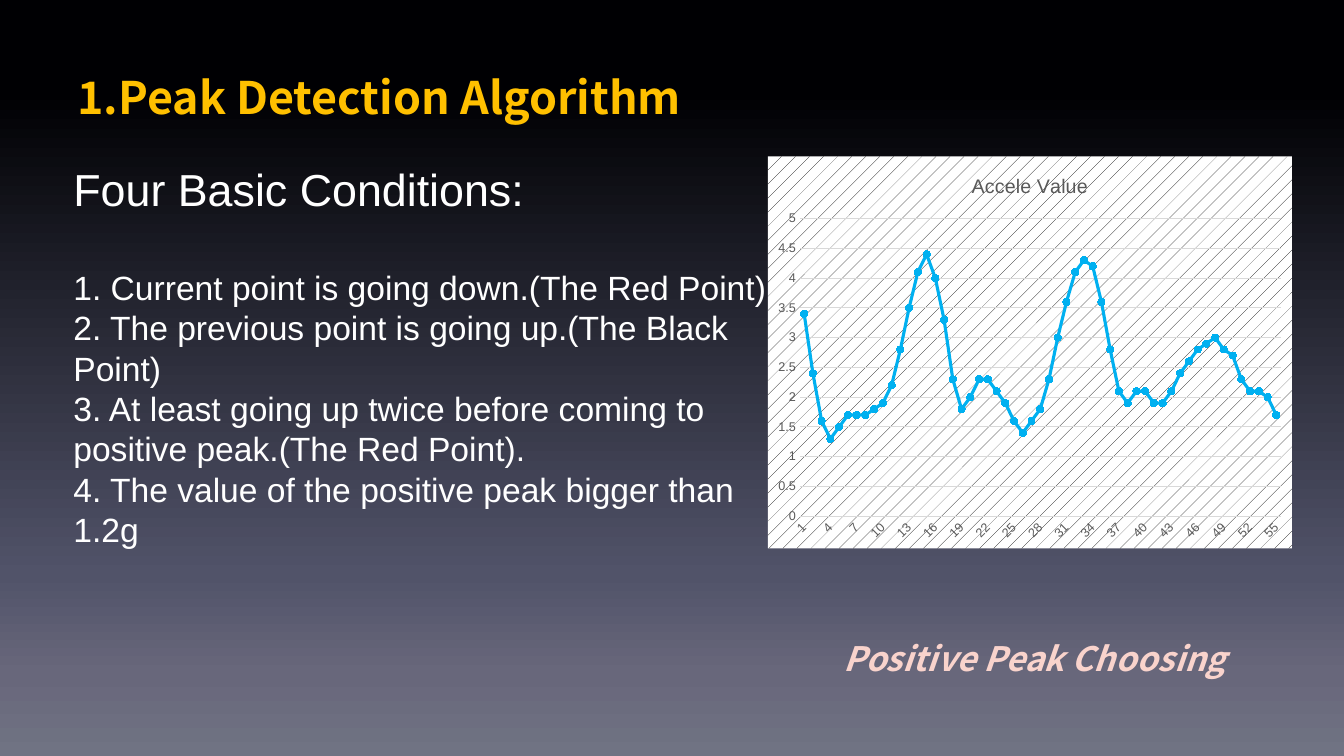
"""Build the peak detection slide: conditions on the left, line chart on the right."""
from dataclasses import dataclass

from lxml.etree import SubElement
from pptx import Presentation
from pptx.chart.data import CategoryChartData
from pptx.dml.color import RGBColor
from pptx.enum.chart import XL_CHART_TYPE, XL_MARKER_STYLE, XL_TICK_MARK
from pptx.enum.text import MSO_ANCHOR, MSO_AUTO_SIZE, PP_ALIGN
from pptx.oxml import parse_xml
from pptx.oxml.ns import nsdecls, qn
from pptx.util import Cm, Pt


@dataclass(frozen=True)
class Theme:
    """Colours, fonts and type sizes of the slide."""
    gold: str = "FFC000"
    pink: str = "F9D3CC"
    white: str = "FFFFFF"
    black: str = "000000"
    grey: str = "595959"
    grid: str = "D9D9D9"
    blue: str = "00B0F0"
    red: str = "F96A4F"
    purple: str = "8064D2"
    yellow: str = "FFFF00"
    backdrop: tuple = ((12, "000003"), (76, "515369"), (89, "68677B"), (100, "707383"))
    display: str = "Noto Sans CJK SC"
    body: str = "Arial"
    heading: int = 32
    text: int = 24
    chart_title: int = 14
    chart_text: int = 10
    axis: int = 9


@dataclass(frozen=True)
class Line:
    """One paragraph of text and its type size."""
    text: str
    size: int
    before: float = 0


@dataclass(frozen=True)
class Block:
    """A text box: place in centimetres, lines and styling."""
    box: tuple
    lines: tuple
    font: str
    color: str
    bold: bool = False
    italic: bool = False
    wrap: bool = True
    grow: bool = True
    spacing: float = 1.0
    align: PP_ALIGN = PP_ALIGN.LEFT
    anchor: MSO_ANCHOR = MSO_ANCHOR.TOP


@dataclass(frozen=True)
class Highlight:
    """Chart points, counted from one, that share a marker colour."""
    color: str
    points: tuple


T = Theme()
BLOCKS = (
    Block((20.55, 15.77, 11.05, 1.73), (Line("Positive Peak Choosing", T.text),),
          T.display, T.pink, bold=True, italic=True, grow=False, spacing=0.9,
          align=PP_ALIGN.CENTER, anchor=MSO_ANCHOR.MIDDLE),
    Block((1.7, 1.22, 16.38, 1.85), (Line("1.Peak Detection Algorithm", T.heading),),
          T.display, T.gold, bold=True, wrap=False, spacing=1.3),
    Block((1.6, 3.94, 17.98, 11.2), (
        Line("Four Basic Conditions:", T.heading),
        Line("1. Current point is going down.(The Red Point)", T.text, before=37),
        Line("2. The previous point is going up.(The Black Point)", T.text),
        Line("3. At least going up twice before coming to positive peak.(The Red Point).",
             T.text),
        Line("4. The value of the positive peak bigger than 1.2g", T.text),
    ), T.body, T.white),
)
ACCELE = (
    3.4, 2.4, 1.6, 1.3, 1.5, 1.7, 1.7, 1.7, 1.8, 1.9, 2.2,
    2.8, 3.5, 4.1, 4.4, 4, 3.3, 2.3, 1.8, 2, 2.3, 2.3,
    2.1, 1.9, 1.6, 1.4, 1.6, 1.8, 2.3, 3, 3.6, 4.1, 4.3,
    4.2, 3.6, 2.8, 2.1, 1.9, 2.1, 2.1, 1.9, 1.9, 2.1, 2.4,
    2.6, 2.8, 2.9, 3, 2.8, 2.7, 2.3, 2.1, 2.1, 2, 1.7,
)
HIGHLIGHTS = (
    Highlight(T.red, (14, 15, 32, 33, 47, 48)),
    Highlight(T.purple, (16, 34, 49)),
    Highlight(T.yellow, (19, 26, 38)),
)


def rgb(color: str) -> RGBColor:
    """Turn a hex string into a colour."""
    return RGBColor.from_string(color)


def style_font(font, name: str, size: int, color: str) -> None:
    """Set face, size and colour of a font."""
    font.name, font.size = name, Pt(size)
    font.color.rgb = rgb(color)


def style_line(line, color: str, width: float) -> None:
    """Set colour and width of a line."""
    line.color.rgb, line.width = rgb(color), Pt(width)


def paint_backdrop(s) -> None:
    """Fill the slide with the top-to-bottom gradient."""
    fill = s.background.fill
    fill.gradient()
    fill.gradient_angle = 270
    stops = next(s.element.iter(qn("a:gsLst")))
    for old in list(stops):
        stops.remove(old)
    for pos, color in T.backdrop:
        stop = SubElement(stops, qn("a:gs"), pos=str(pos * 1000))
        SubElement(stop, qn("a:srgbClr"), val=color)


def add_block(s, block: Block) -> None:
    """Add one text box."""
    tf = s.shapes.add_textbox(*map(Cm, block.box)).text_frame
    tf.word_wrap, tf.vertical_anchor = block.wrap, block.anchor
    tf.auto_size = MSO_AUTO_SIZE.SHAPE_TO_FIT_TEXT if block.grow else MSO_AUTO_SIZE.NONE
    tf.text = "\n".join(line.text for line in block.lines)
    for p, line in zip(tf.paragraphs, block.lines):
        p.alignment, p.line_spacing = block.align, block.spacing
        p.space_before = Pt(line.before)
        for r in p.runs:
            style_font(r.font, block.font, line.size, block.color)
            r.font.bold, r.font.italic = block.bold, block.italic


def style_marker(marker, color: str) -> None:
    """Make a round marker of one colour."""
    marker.style, marker.size = XL_MARKER_STYLE.CIRCLE, 5
    marker.format.fill.solid()
    marker.format.fill.fore_color.rgb = rgb(color)
    style_line(marker.format.line, color, 0.75)


def style_axes(chart) -> None:
    """Set scale, labels and grid of both axes."""
    cat, val = chart.category_axis, chart.value_axis
    for axis in (cat, val):
        axis.major_tick_mark = axis.minor_tick_mark = XL_TICK_MARK.NONE
        style_font(axis.tick_labels.font, T.body, T.axis, T.grey)
    style_line(cat.format.line, T.grid, 0.75)
    cat_xml = next(chart.element.iter(qn("c:catAx")))
    cat_xml.find(qn("c:txPr")).find(qn("a:bodyPr")).set("rot", "-2700000")
    val.minimum_scale, val.maximum_scale, val.major_unit = 0, 5, 0.5
    val.tick_labels.number_format = "General"
    val.tick_labels.number_format_is_linked = False
    val.format.line.fill.background()
    style_line(val.major_gridlines.format.line, T.grid, 0.75)


def add_accele_chart(s) -> None:
    """Add the acceleration chart with its marked points."""
    data = CategoryChartData()
    data.categories = [str(n) for n in range(1, len(ACCELE) + 1)]
    data.add_series("Series 1", ACCELE)
    box = map(Cm, (19.35, 3.94, 13.21, 9.88))
    chart = s.shapes.add_chart(XL_CHART_TYPE.LINE_MARKERS, *box, data).chart
    style_font(chart.font, T.body, T.chart_text, T.black)
    chart.has_legend = False
    chart.has_title = True
    tf = chart.chart_title.text_frame
    tf.text = "Accele Value"
    font = tf.paragraphs[0].runs[0].font
    style_font(font, T.body, T.chart_title, T.grey)
    font.bold = False
    style_axes(chart)
    plot = chart.plots[0]
    plot.vary_by_categories = False
    series = plot.series[0]
    series.smooth = False
    style_line(series.format.line, T.blue, 2.25)
    style_marker(series.marker, T.blue)
    for mark in HIGHLIGHTS:
        for n in mark.points:
            point = series.points[n - 1]
            style_marker(point.marker, mark.color)
            style_line(point.format.line, T.blue, 2.25)
    chart.element.find(qn("c:chart")).addnext(parse_xml(
        f'<c:spPr {nsdecls("c", "a")}><a:pattFill prst="pct5">'
        f'<a:fgClr><a:srgbClr val="{T.black}"/></a:fgClr>'
        f'<a:bgClr><a:srgbClr val="{T.white}"/></a:bgClr>'
        '</a:pattFill><a:ln><a:noFill/></a:ln></c:spPr>'))


def main() -> None:
    """Build and save the presentation."""
    prs = Presentation()
    prs.slide_width, prs.slide_height = Cm(33.87), Cm(19.05)
    s = prs.slides.add_slide(prs.slide_layouts[6])
    paint_backdrop(s)
    for block in BLOCKS:
        add_block(s, block)
    add_accele_chart(s)
    prs.save("out.pptx")


main()
